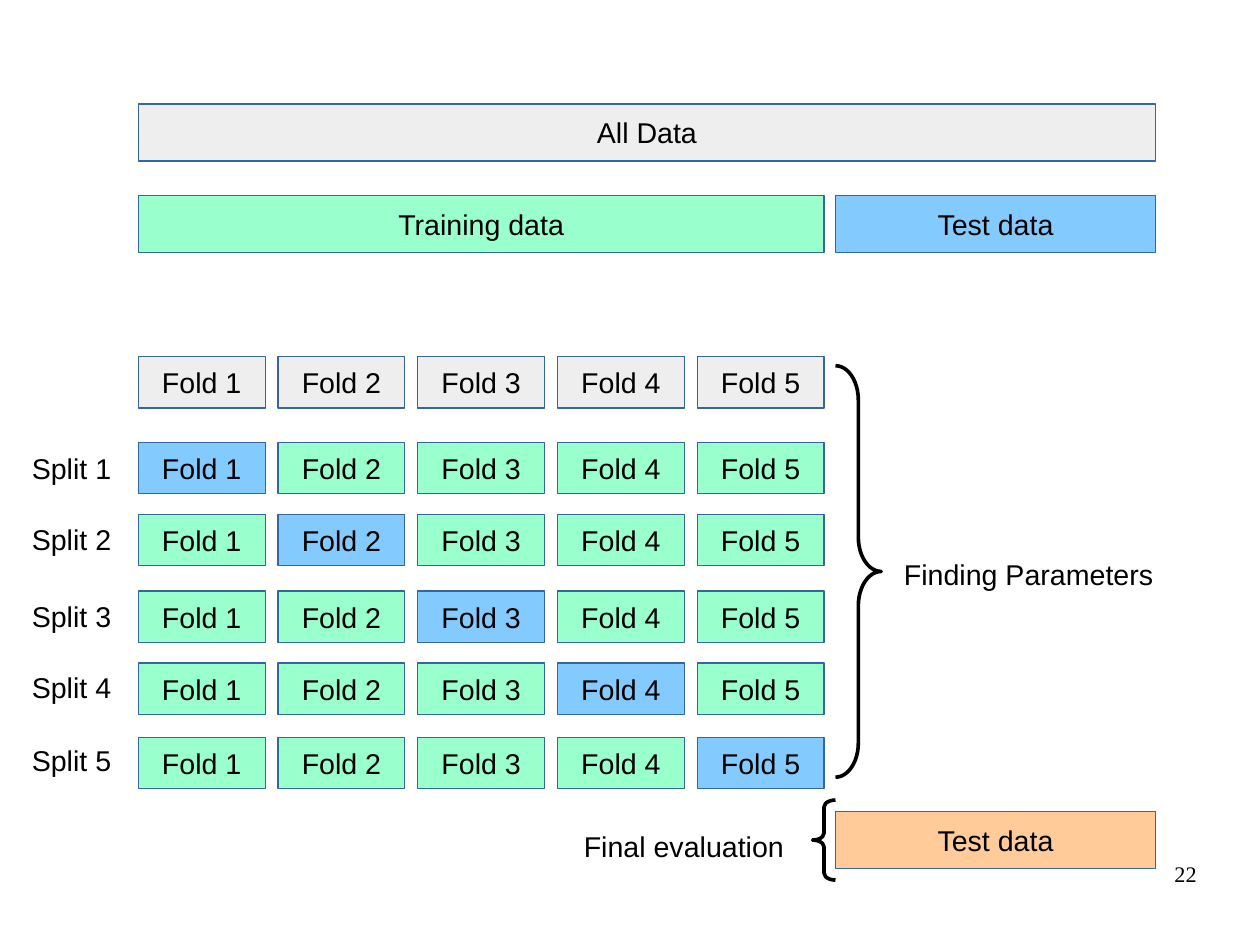
from dataclasses import dataclass

from pptx import Presentation
from pptx.dml.color import RGBColor
from pptx.enum import shapes, text
from pptx.util import Cm, Inches, Pt


@dataclass(frozen=True)
class Theme:
    neutral: str = "EEEEEE"
    training: str = "99FFCC"
    test: str = "83CAFF"
    final: str = "FFCC99"
    outline: str = "3465A4"
    ink: str = "000000"
    font: str = "Arial"
    number_font: str = "Times New Roman"
    size: int = 18
    number_size: int = 14
    brace_width: float = 2.3


THEME = Theme()

# Content: wording, place (left, top, width, height) and fill
LEFT, TRAINING_WIDTH = 1.21, 6
BARS = [
    ("All Data", (LEFT, 0.91, 8.9, 0.5), THEME.neutral),
    ("Training data", (LEFT, 1.71, TRAINING_WIDTH, 0.5), THEME.training),
    ("Test data", (7.31, 1.71, 2.8, 0.5), THEME.test),
]
FINAL_BAR = ("Test data", (7.31, 7.1, 2.8, 0.5), THEME.final)
FOLDS = ["Fold 1", "Fold 2", "Fold 3", "Fold 4", "Fold 5"]
# Each split: label, top of its folds, top of its label
SPLITS = [
    ("Split 1", 3.87, 3.9),
    ("Split 2", 4.5, 4.52),
    ("Split 3", 5.17, 5.19),
    ("Split 4", 5.8, 5.81),
    ("Split 5", 6.45, 6.45),
]
NOTES = [
    ("Finding Parameters", (7.81, 4.82, 2.69, 0.38)),
    ("Final evaluation", (5.01, 7.2, 2, 0.38)),
]
# Each brace: preset, place, curve radius relative to its width
BRACES = [
    (shapes.MSO_SHAPE.RIGHT_BRACE, (7.31, 3.2, 0.4, 3.6), 0.75),
    (shapes.MSO_SHAPE.LEFT_BRACE, (7.11, 7, 0.2, 0.7), 0.3),
]
PAGE_NUMBER = ("22", (7.9, 7.53, 2.57, 0.57))

# Fold grid: the folds span the training bar
FOLD_WIDTH, FOLD_HEIGHT = 1.11, 0.45
FOLD_STEP = (TRAINING_WIDTH - FOLD_WIDTH) / (len(FOLDS) - 1)
HEADER_TOP = 3.12
LABEL_LEFT, LABEL_WIDTH, LABEL_HEIGHT = 0.18, 0.91, 0.38


def color(value):
    return RGBColor.from_string(value)


def inches(place):
    return [Inches(length) for length in place]


def write(shape, wording, align, font=THEME.font, size=THEME.size):
    shape.text_frame.text = wording
    paragraph = shape.text_frame.paragraphs[0]
    paragraph.alignment = align
    run_font = paragraph.runs[0].font
    run_font.name, run_font.size = font, Pt(size)
    run_font.color.rgb = color(THEME.ink)


def add_box(parent, wording, place, fill):
    box = parent.add_shape(shapes.MSO_SHAPE.RECTANGLE, *inches(place))
    box.shadow.inherit = False
    box.fill.solid()
    box.fill.fore_color.rgb = color(fill)
    box.line.color.rgb = color(THEME.outline)
    box.line.width = Pt(0)
    box.text_frame.word_wrap = False
    box.text_frame.vertical_anchor = text.MSO_ANCHOR.MIDDLE
    write(box, wording, text.PP_ALIGN.CENTER)


def add_label(parent, wording, place):
    label = parent.add_textbox(*inches(place))
    label.text_frame.word_wrap = True
    label.text_frame.auto_size = text.MSO_AUTO_SIZE.SHAPE_TO_FIT_TEXT
    write(label, wording, text.PP_ALIGN.LEFT)


def add_brace(parent, preset, place, radius):
    brace = parent.add_shape(preset, *inches(place))
    brace.adjustments[0] = radius
    brace.shadow.inherit = False
    brace.fill.background()
    brace.line.color.rgb = color(THEME.ink)
    brace.line.width = Pt(THEME.brace_width)


def add_page_number(parent, wording, place):
    number = parent.add_textbox(*inches(place))
    frame = number.text_frame
    frame.word_wrap = True
    frame.margin_left = frame.margin_right = 0
    frame.margin_top = frame.margin_bottom = 0
    write(number, wording, text.PP_ALIGN.RIGHT,
          THEME.number_font, THEME.number_size)


def main():
    presentation = Presentation()
    # A 4:3 page of 28 by 21 cm
    presentation.slide_width = Cm(28)
    presentation.slide_height = Cm(21)
    slide = presentation.slides.add_slide(presentation.slide_layouts[6])

    # Data bars
    for bar in BARS:
        add_box(slide.shapes, *bar)

    # Header folds, then one row per split with its test fold on the diagonal
    row_tops = [HEADER_TOP] + [top for _, top, _ in SPLITS]
    for row, top in enumerate(row_tops):
        for column, fold in enumerate(FOLDS):
            if row == 0:
                fill = THEME.neutral
            else:
                fill = THEME.test if column == row - 1 else THEME.training
            left = LEFT + column * FOLD_STEP
            add_box(slide.shapes, fold, (left, top, FOLD_WIDTH, FOLD_HEIGHT), fill)

    # Final test bar, notes and braces
    add_box(slide.shapes, *FINAL_BAR)
    for note in NOTES:
        add_label(slide.shapes, *note)
    for brace in BRACES:
        add_brace(slide.shapes, *brace)

    # Split labels
    label_group = slide.shapes.add_group_shape()
    for wording, _, top in SPLITS:
        add_label(label_group.shapes, wording,
                  (LABEL_LEFT, top, LABEL_WIDTH, LABEL_HEIGHT))

    # Page number
    add_page_number(slide.shapes, *PAGE_NUMBER)
    presentation.save("out.pptx")


if __name__ == "__main__":
    main()
